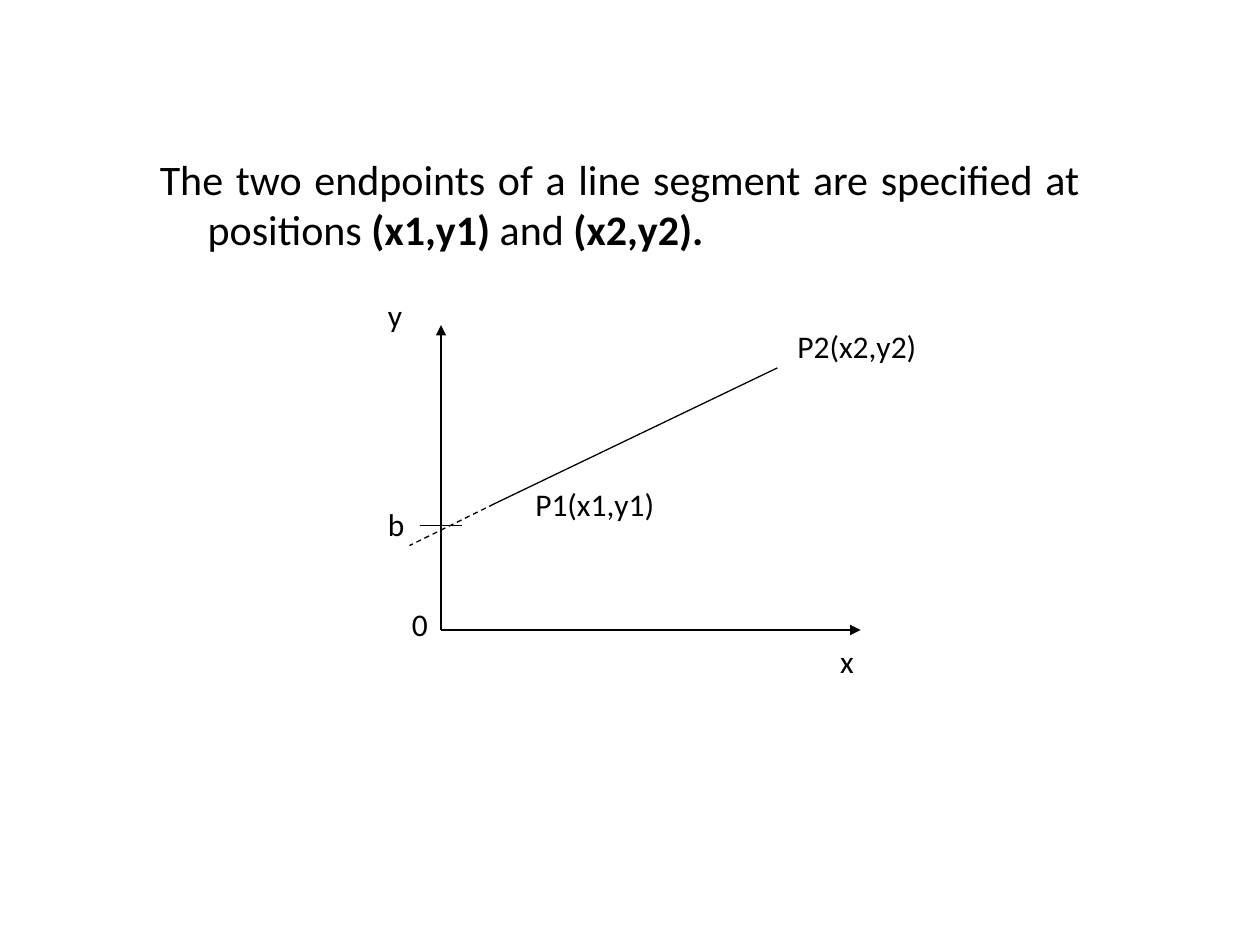
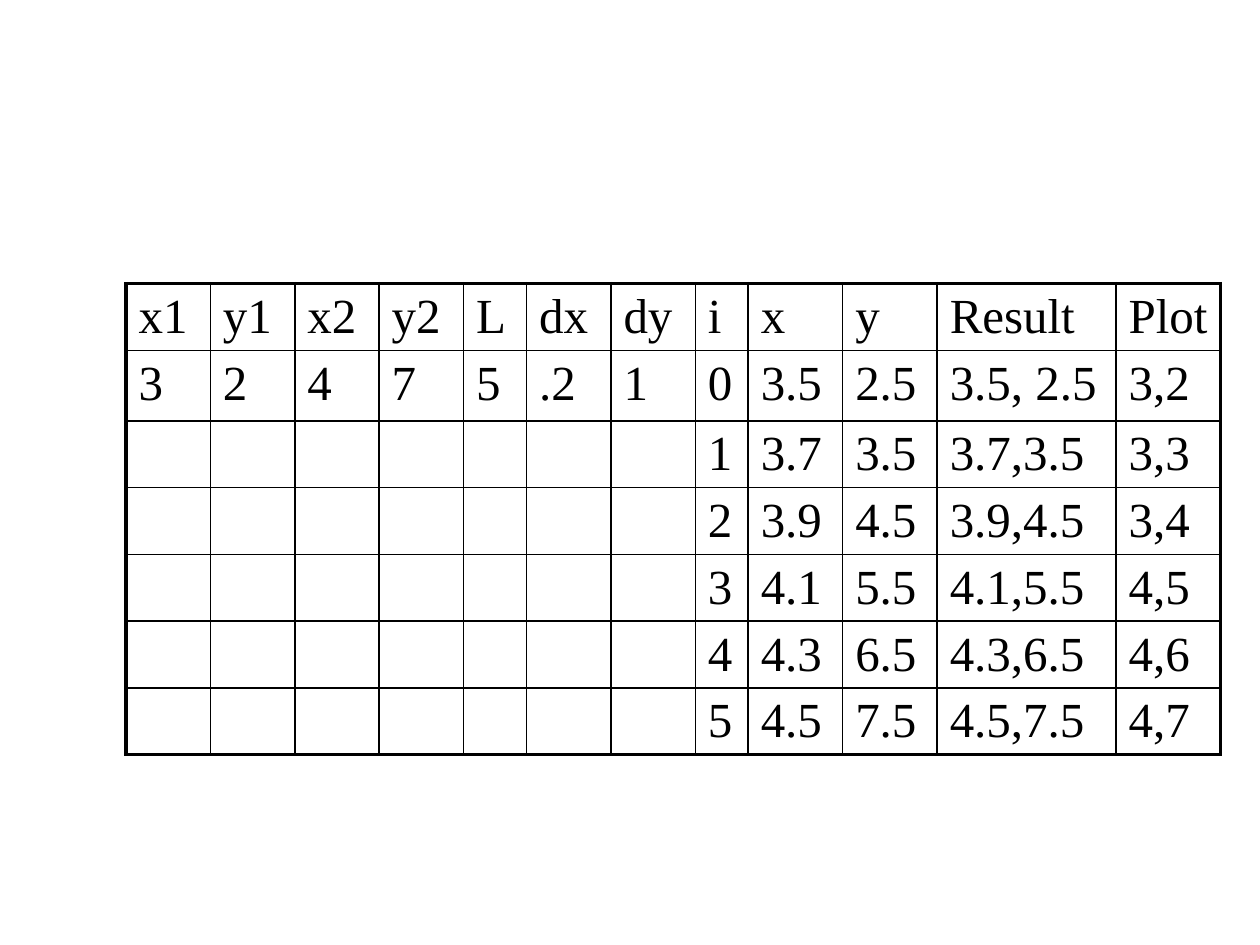
from lxml.etree import SubElement
from pptx import Presentation
from pptx.dml.color import RGBColor
from pptx.enum.dml import MSO_LINE
from pptx.enum.shapes import MSO_CONNECTOR
from pptx.enum.text import PP_ALIGN
from pptx.oxml.ns import qn
from pptx.util import Inches, Pt

BLACK = RGBColor(0x00, 0x00, 0x00)
WHITE = RGBColor(0xFF, 0xFF, 0xFF)
BODY_FONT = "Calibri"
TABLE_FONT = "Times New Roman"
THIN, THICK = 1, 2.25

COL_WIDTHS = [0.67] * 4 + [0.5, 0.67, 0.67, 0.42, 0.75, 0.75, 1.42, 0.83]
ROW_HEIGHTS = [0.53, 0.56] + [0.53] * 5
BLANKS = [""] * 7
DDA_ROWS = [
    ["x1", "y1", "x2", "y2", "L", "dx", "dy", "i", "x", "y", "Result", "Plot"],
    ["3", "2", "4", "7", "5", ".2", "1", "0", "3.5", "2.5", "3.5, 2.5", "3,2"],
    BLANKS + ["1", "3.7", "3.5", "3.7,3.5", "3,3"],
    BLANKS + ["2", "3.9", "4.5", "3.9,4.5", "3,4"],
    BLANKS + ["3", "4.1", "5.5", "4.1,5.5", "4,5"],
    BLANKS + ["4", "4.3", "6.5", "4.3,6.5", "4,6"],
    BLANKS + ["5", "4.5", "7.5", "4.5,7.5", "4,7"],
]


def add_run(p, text, size, font=BODY_FONT, bold=False):
    """Append one black run to a paragraph."""
    r = p.add_run()
    r.text = text
    r.font.size = Pt(size)
    r.font.name = font
    r.font.bold = bold
    r.font.color.rgb = BLACK


def add_text_frame(slide, left, top, width, height):
    """Add a wrapping text box and return its text frame."""
    box = slide.shapes.add_textbox(
        Inches(left), Inches(top), Inches(width), Inches(height))
    box.text_frame.word_wrap = True
    return box.text_frame


def add_line(slide, start, end, arrow=False, dashed=False):
    """Draw a thin black line, optionally dashed or with an arrowhead at its end."""
    points = [Inches(v) for v in (*start, *end)]
    line = slide.shapes.add_connector(MSO_CONNECTOR.STRAIGHT, *points)
    line.line.color.rgb = BLACK
    line.line.width = Pt(0.75)
    if dashed:
        line.line.dash_style = MSO_LINE.DASH
    if arrow:
        SubElement(line.line._get_or_add_ln(), qn("a:tailEnd"), type="triangle")
    SubElement(line._element.spPr, qn("a:effectLst"))


def add_statement(slide, left, top, width, height):
    """Write the justified sentence with a hanging indent."""
    p = add_text_frame(slide, left, top, width, height).paragraphs[0]
    p.alignment = PP_ALIGN.JUSTIFY
    p.space_before = Pt(4.8)
    pPr = p._p.get_or_add_pPr()
    pPr.set("marL", str(Inches(0.38)))
    pPr.set("indent", str(Inches(-0.38)))
    add_run(p, "The two endpoints of a line segment are specified at positions ", 24)
    add_run(p, "(x1,y1)", 24, bold=True)
    add_run(p, " and ", 24)
    add_run(p, "(x2,y2).", 24, bold=True)


def add_line_graph(slide, left, top):
    """Draw the axes, the segment and its labels relative to the top of the y axis."""
    def at(x, y):
        return left + x, top + y

    origin, p1 = at(0, 2.42), at(0.42, 1.42)
    add_line(slide, origin, at(0, 0), arrow=True)
    add_line(slide, origin, at(3.33, 2.42), arrow=True)
    add_line(slide, p1, at(2.67, 0.34))
    add_line(slide, p1, at(-0.25, 1.75), dashed=True)
    add_line(slide, at(-0.17, 1.59), at(0.17, 1.59))
    labels = [
        ("x", 3.07, 2.47, 0.37),
        ("y", -0.52, -0.28, 0.37),
        ("P1(x1,y1)", 0.65, 1.22, 1.53),
        ("P2(x2,y2)", 2.73, -0.03, 1.53),
        ("b", -0.52, 1.38, 0.37),
        ("0", -0.33, 2.17, 0.37),
    ]
    for text, x, y, width in labels:
        tf = add_text_frame(slide, *at(x, y), width, 0.5)
        add_run(tf.paragraphs[0], text, 18)


def set_borders(cell, widths):
    """Give a cell black borders in the order left, right, top, bottom."""
    tcPr = cell._tc.get_or_add_tcPr()
    for side, width in zip("LRTB", widths):
        ln = SubElement(tcPr, qn(f"a:ln{side}"), w=str(Pt(width)))
        fill = SubElement(ln, qn("a:solidFill"))
        SubElement(fill, qn("a:srgbClr"), val=str(BLACK))


def add_dda_table(slide, left, top):
    """Build the table of steps with a thick outer frame."""
    n_rows, n_cols = len(DDA_ROWS), len(COL_WIDTHS)
    table = slide.shapes.add_table(
        n_rows, n_cols, Inches(left), Inches(top),
        Inches(sum(COL_WIDTHS)), Inches(sum(ROW_HEIGHTS))).table
    table.first_row = table.horz_banding = False
    for col, width in zip(table.columns, COL_WIDTHS):
        col.width = Inches(width)
    for i, (row, height) in enumerate(zip(table.rows, ROW_HEIGHTS)):
        row.height = Inches(height)
        for j, text in enumerate(DDA_ROWS[i]):
            cell = table.cell(i, j)
            outer = (j == 0, j == n_cols - 1, i == 0, i == n_rows - 1)
            set_borders(cell, [THICK if edge else THIN for edge in outer])
            cell.fill.solid()
            cell.fill.fore_color.rgb = WHITE
            cell.margin_bottom = Inches(0.03)
            if text:
                p = cell.text_frame.paragraphs[0]
                p.space_before = Pt(5.6)
                add_run(p, text, 28, TABLE_FONT)


def main():
    """Build both slides and save the presentation."""
    prs = Presentation()
    prs.slide_width, prs.slide_height = Inches(10), Inches(7.5)
    blank = prs.slide_layouts[6]

    slide = prs.slides.add_slide(blank)
    add_statement(slide, 1.17, 1.17, 7.5, 6)
    add_line_graph(slide, 3.5, 2.58)

    slide = prs.slides.add_slide(blank)
    add_dda_table(slide, 1, 2.25)

    prs.save("out.pptx")


if __name__ == "__main__":
    main()
